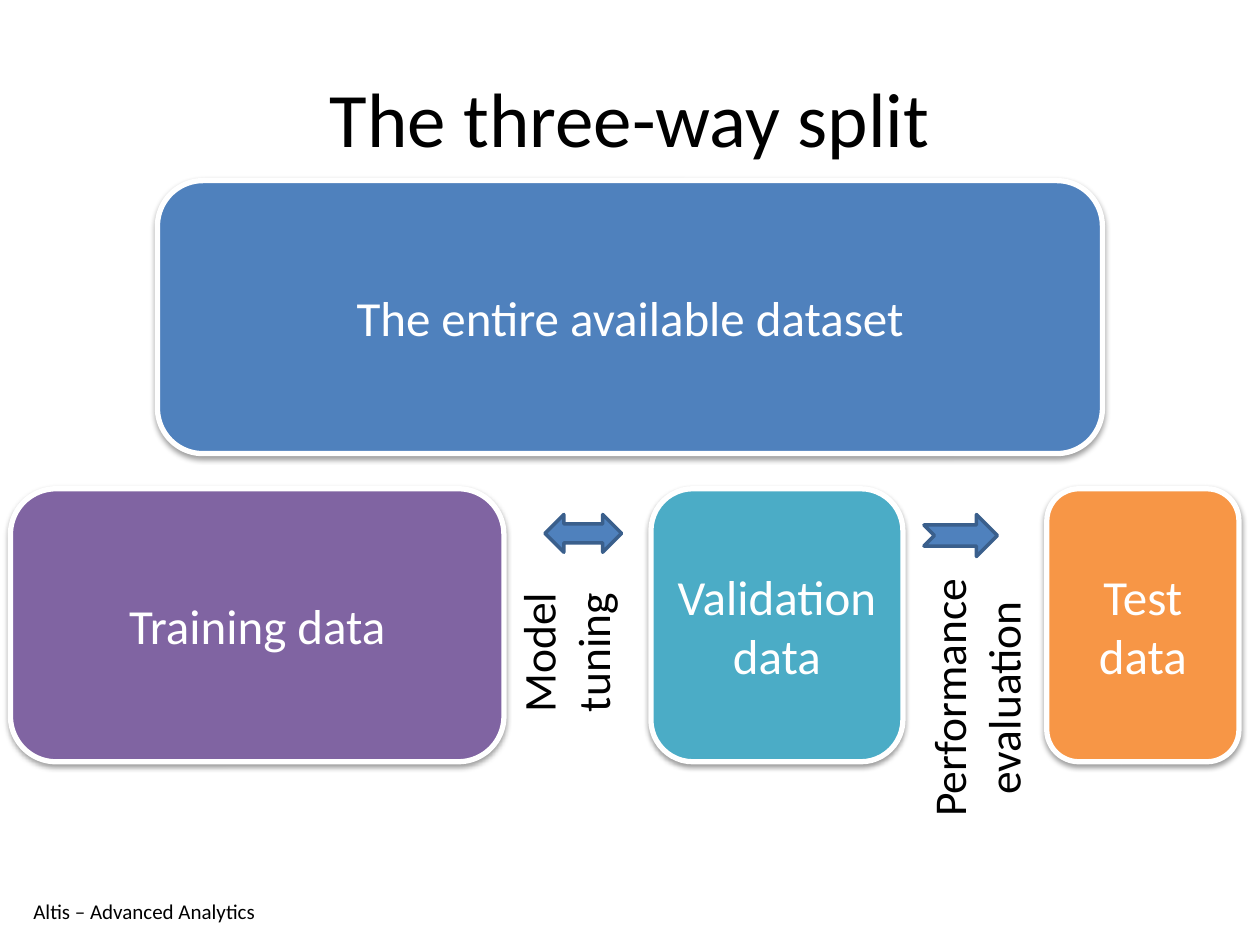
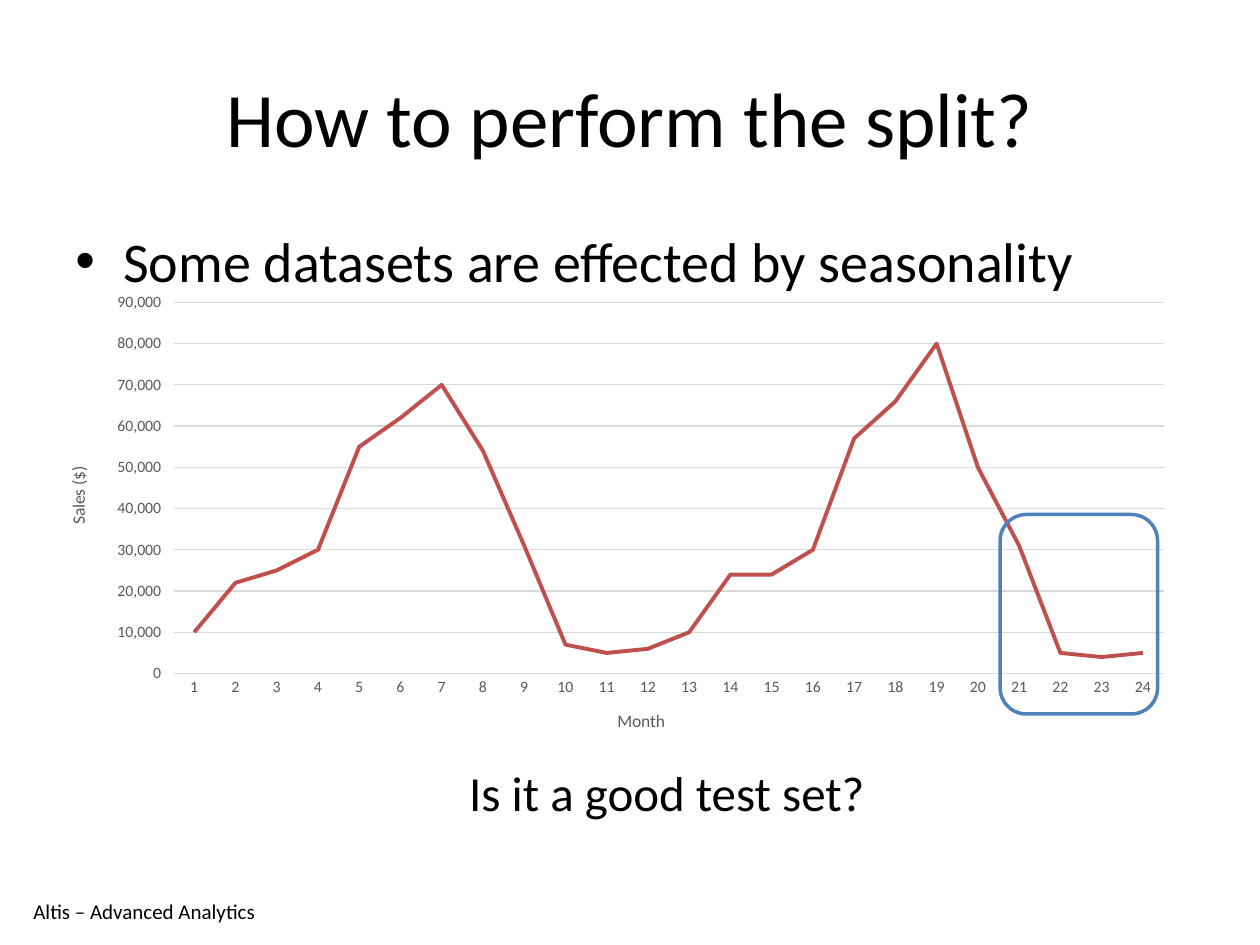
import dataclasses
import typing

import lxml.etree
import pptx
import pptx.chart.data
import pptx.dml.color
import pptx.enum.chart
import pptx.enum.shapes
import pptx.enum.text
import pptx.oxml
import pptx.oxml.ns
import pptx.util

Shapes = pptx.enum.shapes.MSO_SHAPE
Align = pptx.enum.text.PP_ALIGN
Anchor = pptx.enum.text.MSO_ANCHOR
TickMark = pptx.enum.chart.XL_TICK_MARK
qn = pptx.oxml.ns.qn


@dataclasses.dataclass(frozen=True)
class Theme:
    font: str = "Calibri"
    ink: str = "000000"
    paper: str = "FFFFFF"
    blue: str = "4F81BD"
    blue_edge: str = "3A5F8C"
    purple: str = "8064A2"
    teal: str = "4BACC6"
    orange: str = "F79646"
    red: str = "C0504D"
    axis_text: str = "595959"
    grid_line: str = "D9D9D9"
    title_size: float = 44
    body_size: float = 32
    label_size: float = 28
    step_size: float = 26
    footer_size: float = 12
    axis_title_size: float = 10
    tick_size: float = 9


THEME = Theme()
FOOTER = "Altis – Advanced Analytics"

# The slide is a grid of 120 columns by 90 rows
WIDTH, HEIGHT = pptx.util.Inches(10), pptx.util.Inches(7.5)
COLUMNS, ROWS = 120, 90


class Area(typing.NamedTuple):
    column: float
    row: float
    columns: float
    rows: float

    def emu(self) -> tuple[int, ...]:
        across, down = WIDTH / COLUMNS, HEIGHT / ROWS
        return (int(self.column * across), int(self.row * down),
                int(self.columns * across), int(self.rows * down))


class Block(typing.NamedTuple):
    label: str
    area: Area
    fill: str


class Arrow(typing.NamedTuple):
    outline: Shapes
    area: Area


class Step(typing.NamedTuple):
    label: str
    area: Area


SPLIT_ROW, BLOCK_ROWS = 46.55, 26
BLOCKS = [
    Block("The entire available dataset", Area(15, 17.2, 90, BLOCK_ROWS), THEME.blue),
    Block("Training data", Area(1, SPLIT_ROW, 47, BLOCK_ROWS), THEME.purple),
    Block("Validation data", Area(62, SPLIT_ROW, 24, BLOCK_ROWS), THEME.teal),
    Block("Test data", Area(99.7, SPLIT_ROW, 18.3, BLOCK_ROWS), THEME.orange),
]
ARROWS = [
    Arrow(Shapes.NOTCHED_RIGHT_ARROW, Area(88, 49, 7, 4)),
    Arrow(Shapes.LEFT_RIGHT_ARROW, Area(51.9, 49, 7.3, 3.6)),
]
STEPS = [
    Step("Model tuning", Area(48, 51, 13, 22.3)),
    Step("Performance evaluation", Area(87.1, 51, 13, 30.9)),
]
MONTHLY_SALES = [
    10000, 22000, 25000, 30000, 55000, 62000, 70000, 54000, 31000, 7000, 5000, 6000,
    10000, 24000, 24000, 30000, 57000, 66000, 80000, 50000, 31000, 5000, 4000, 5000,
]


def color(value: str) -> pptx.dml.color.RGBColor:
    return pptx.dml.color.RGBColor.from_string(value)


def style_font(font, size: float, ink: str) -> None:
    font.name, font.size = THEME.font, pptx.util.Pt(size)
    font.bold = False
    font.color.rgb = color(ink)


def write(shape, text: str, *, size: float, ink: str = THEME.ink, align=Align.CENTER,
          anchor=Anchor.TOP, wrap: bool = True, vertical: bool = False,
          bullet: str = "") -> None:
    """Put one formatted paragraph in a shape."""
    frame = shape.text_frame
    frame.word_wrap, frame.vertical_anchor = wrap, anchor
    if vertical:
        frame._txBody.bodyPr.set("vert", "vert270")
    paragraph = frame.paragraphs[0]
    paragraph.alignment = align
    if bullet:
        properties = paragraph._p.get_or_add_pPr()
        indent = pptx.util.Inches(0.38)
        properties.set("marL", str(indent))
        properties.set("indent", str(-indent))
        lxml.etree.SubElement(properties, qn("a:buFont")).set("typeface", "Arial")
        lxml.etree.SubElement(properties, qn("a:buChar")).set("char", bullet)
    run = paragraph.add_run()
    run.text = text
    style_font(run.font, size, ink)


def add_text(slide, area: Area, text: str, **text_format) -> None:
    write(slide.shapes.add_textbox(*area.emu()), text, **text_format)


def add_outline(slide, outline: Shapes, area: Area, *, line: str, width: float,
                fill: str = ""):
    shape = slide.shapes.add_shape(outline, *area.emu())
    shape.shadow.inherit = False
    if fill:
        shape.fill.solid()
        shape.fill.fore_color.rgb = color(fill)
    else:
        shape.fill.background()
    shape.line.color.rgb = color(line)
    shape.line.width = pptx.util.Pt(width)
    return shape


def add_soft_shadow(shape) -> None:
    effects = shape._element.spPr.find(qn("a:effectLst"))
    shadow = lxml.etree.SubElement(
        effects, qn("a:outerShdw"), blurRad=str(pptx.util.Pt(3.1)),
        dist=str(pptx.util.Pt(1.6)), dir="5400000", rotWithShape="0")
    tint = lxml.etree.SubElement(shadow, qn("a:srgbClr"), val=THEME.ink)
    lxml.etree.SubElement(tint, qn("a:alpha"), val="38000")


def add_block(slide, block: Block) -> None:
    shape = add_outline(slide, Shapes.ROUNDED_RECTANGLE, block.area,
                        line=THEME.paper, width=3, fill=block.fill)
    add_soft_shadow(shape)
    write(shape, block.label, size=THEME.label_size, ink=THEME.paper, anchor=Anchor.MIDDLE)


def add_slide(deck, title: str):
    """Start a slide with the shared title and footer."""
    slide = deck.slides.add_slide(deck.slide_layouts[6])
    add_text(slide, Area(6, 3.6, 108, 15), title, size=THEME.title_size,
             anchor=Anchor.MIDDLE)
    add_text(slide, Area(2, 85, 23.9, 3.6), FOOTER, size=THEME.footer_size,
             align=Align.LEFT, wrap=False)
    return slide


def place_in_chart(part, position: int, **percents: float) -> None:
    """Fix a chart part's place, in percent of the chart's size."""
    for old in part.findall(qn("c:layout")):
        part.remove(old)
    layout = lxml.etree.Element(qn("c:layout"))
    manual = lxml.etree.SubElement(layout, qn("c:manualLayout"))
    if "w" in percents:
        lxml.etree.SubElement(manual, qn("c:layoutTarget"), val="inner")
    for mode in ("xMode", "yMode"):
        lxml.etree.SubElement(manual, qn(f"c:{mode}"), val="edge")
    for side, percent in percents.items():
        lxml.etree.SubElement(manual, qn(f"c:{side}"), val=str(percent / 100))
    part.insert(position, layout)


def style_axis(axis, title: str, tick_mark: TickMark, x: float, y: float) -> None:
    axis.major_tick_mark, axis.minor_tick_mark = tick_mark, TickMark.NONE
    style_font(axis.tick_labels.font, THEME.tick_size, THEME.axis_text)
    heading = axis.axis_title.text_frame.paragraphs[0].add_run()
    heading.text = title
    style_font(heading.font, THEME.axis_title_size, THEME.axis_text)
    place_in_chart(axis.axis_title._element, 1, x=x, y=y)


def style_hairline(line) -> None:
    line.color.rgb = color(THEME.grid_line)
    line.width = pptx.util.Pt(0.75)


def add_sales_chart(slide, area: Area) -> None:
    sales = pptx.chart.data.CategoryChartData(number_format="#,##0")
    sales.categories = [str(month + 1) for month in range(len(MONTHLY_SALES))]
    sales.add_series("Series 1", MONTHLY_SALES)
    chart = slide.shapes.add_chart(pptx.enum.chart.XL_CHART_TYPE.LINE,
                                   *area.emu(), sales).chart
    chart.has_legend = chart.has_title = False
    style_font(chart.font, THEME.axis_title_size, THEME.ink)

    # Axes
    months, dollars = chart.category_axis, chart.value_axis
    style_axis(months, "Month", TickMark.NONE, 50, 89.4)
    style_axis(dollars, "Sales ($)", TickMark.CROSS, 1.9, 38)
    dollars.axis_title.text_frame._txBody.bodyPr.set("rot", "-5400000")
    style_hairline(months.format.line)
    style_hairline(dollars.major_gridlines.format.line)
    dollars.format.line.fill.background()
    dollars.minimum_scale, dollars.maximum_scale, dollars.major_unit = 0, 90000, 10000
    dollars.tick_labels.number_format = "#,##0"
    dollars.tick_labels.number_format_is_linked = False

    # Sales line
    plot = chart.plots[0]
    plot.vary_by_categories = False
    trace = plot.series[0]
    trace.smooth = False
    trace.marker.style = pptx.enum.chart.XL_MARKER_STYLE.NONE
    trace.format.line.color.rgb = color(THEME.red)
    trace.format.line.width = pptx.util.Pt(2.25)
    plot_area = chart._chartSpace.chart.plotArea
    place_in_chart(plot_area, 0, x=11.5, y=4, w=86.5, h=78.4)


def build_three_way_split(deck) -> None:
    slide = add_slide(deck, "The three-way split")
    for block in BLOCKS:
        add_block(slide, block)
    for arrow in ARROWS:
        add_outline(slide, arrow.outline, arrow.area, line=THEME.blue_edge, width=2,
                    fill=THEME.blue)
    for step in STEPS:
        add_text(slide, step.area, step.label, size=THEME.step_size, vertical=True)


def build_seasonality(deck) -> None:
    slide = add_slide(deck, "How to perform the split?")
    add_text(slide, Area(6, 21, 108, 59.4), "Some datasets are effected by seasonality",
             size=THEME.body_size, align=Align.LEFT, bullet="•")
    add_sales_chart(slide, Area(4, 27, 109, 45.1))
    add_outline(slide, Shapes.ROUNDED_RECTANGLE, Area(95.25, 49, 15, 19),
                line=THEME.blue, width=2)
    add_text(slide, Area(34, 72, 59, 6.9), "Is it a good test set?", size=THEME.label_size)


def main() -> None:
    deck = pptx.Presentation()
    deck.slide_width, deck.slide_height = WIDTH, HEIGHT
    build_three_way_split(deck)
    build_seasonality(deck)
    deck.save("out.pptx")


if __name__ == "__main__":
    main()
